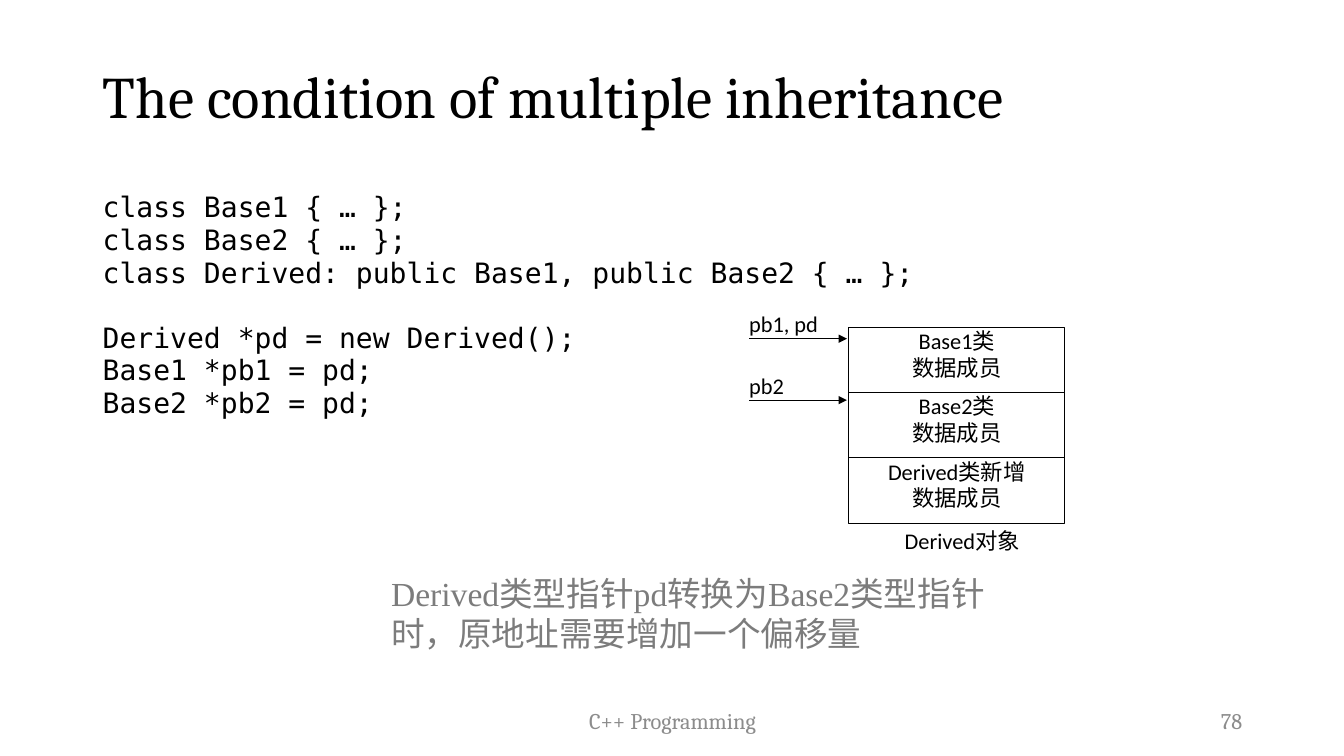
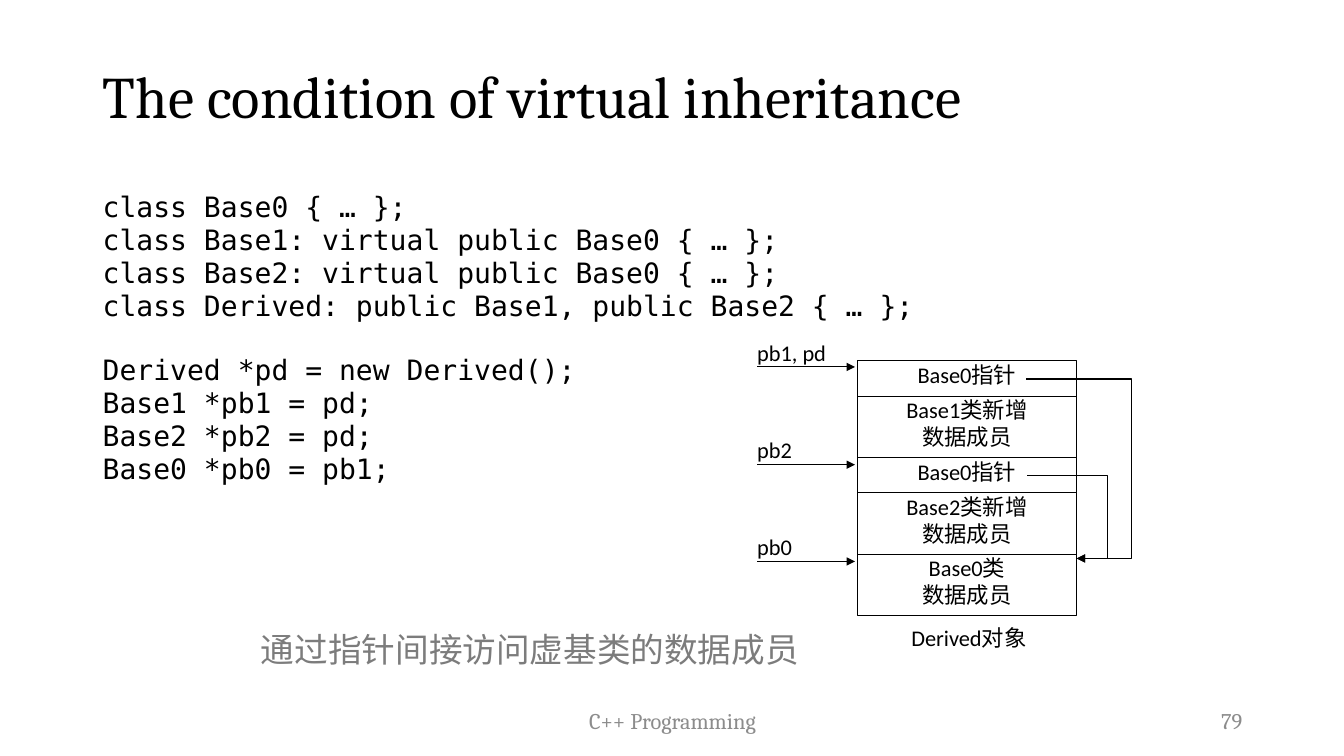
from dataclasses import dataclass, field
from typing import Any, NamedTuple

from pptx import Presentation, util as u
from pptx.dml.color import RGBColor
from pptx.enum import shapes, text
from pptx.oxml import ns, xmlchemy  # noqa: F401
from pptx.oxml.xmlchemy import OxmlElement

PX = 9144  # 100 px to the inch
LEFT, MID, RIGHT = text.PP_ALIGN.LEFT, text.PP_ALIGN.CENTER, text.PP_ALIGN.RIGHT
TOP, CORE = text.MSO_ANCHOR.TOP, text.MSO_ANCHOR.MIDDLE


class Box(NamedTuple):
    x: int
    y: int
    w: int
    h: int


@dataclass(frozen=True)
class Style:
    face: str
    size: int
    ink: RGBColor
    align: Any = LEFT
    anchor: Any = TOP
    lead: float = 1.0
    after: float = 0
    inset: bool = True


BLACK, GREY, PALE = (RGBColor.from_string(c) for c in ("000000", "7C7C7C", "8C8C8C"))


@dataclass(frozen=True)
class Theme:
    line: RGBColor = BLACK
    width: float = 0.75
    gap: float = 22.7
    title: Style = Style("Cambria", 42, BLACK, anchor=CORE, lead=0.9)
    code: Style = Style("DejaVu Sans Mono", 20, BLACK, lead=0.95, after=0.6)
    note: Style = Style("Times New Roman", 24, GREY)
    cell: Style = Style("Calibri", 16, BLACK, MID, inset=False)
    label: Style = Style("Calibri", 16, BLACK, inset=False)
    foot: Style = Style("Cambria", 16, PALE, MID, CORE)
    page: Style = Style("Cambria", 16, PALE, RIGHT, CORE)


THEME = Theme()
TITLE = Box(92, 26, 1150, 145)
CODE = Box(92, 186, 1150, 476)
FOOT = Box(442, 695, 450, 40)
PAGE = Box(942, 695, 300, 40)


class Row(NamedTuple):
    lines: list[str]
    h: int


class Mark(NamedTuple):
    """A named pointer whose arrow runs at height y."""
    name: str
    y: int


class Link(NamedTuple):
    """A bent arrow from (x, y) out to bend and back to the stack at end."""
    x: int
    y: int
    bend: int
    end: int


@dataclass(frozen=True)
class Page:
    num: int
    title: str
    code: list[list[str]]
    note: list[str]
    spot: Box
    stack: Box
    rows: list[Row]
    marks: list[Mark]
    label: Box
    links: list[Link] = field(default_factory=list)


def apply(thing: Any, vals: dict[str, Any]) -> None:
    for key, val in vals.items():
        setattr(thing, key, val)


def emu(box: Box) -> list[int]:
    return [n * PX for n in box]


def write(shape: Any, blocks: list[list[str]], style: Style) -> None:
    """Fill a shape with blocks of lines, parted by the theme's gap."""
    frame = shape.text_frame
    apply(frame, {"word_wrap": True, "auto_size": text.MSO_AUTO_SIZE.NONE,
                  "vertical_anchor": style.anchor})
    if not style.inset:
        apply(frame, dict.fromkeys(
            ("margin_left", "margin_top", "margin_right", "margin_bottom"), 0))
    lines = [(line, bool(b) and not i)
             for b, block in enumerate(blocks) for i, line in enumerate(block)]
    for i, (line, apart) in enumerate(lines):
        para = frame.add_paragraph() if i else frame.paragraphs[0]
        apply(para, {"text": line, "alignment": style.align,
                     "line_spacing": style.lead,
                     "space_before": u.Pt(THEME.gap if apart else 0),
                     "space_after": u.Pt(style.after)})
        apply(para.font, {"name": style.face, "size": u.Pt(style.size)})
        para.font.color.rgb = style.ink


def words(slide: Any, box: Box, blocks: list[list[str]], style: Style) -> None:
    write(slide.shapes.add_textbox(*emu(box)), blocks, style)


def stroke(line: Any) -> None:
    line.color.rgb = THEME.line
    line.width = u.Pt(THEME.width)


def cell(slide: Any, box: Box, lines: list[str]) -> None:
    rect = slide.shapes.add_shape(shapes.MSO_SHAPE.RECTANGLE, *emu(box))
    rect.shadow.inherit = False
    rect.fill.background()
    stroke(rect.line)
    write(rect, [lines], THEME.cell)


def arrow(slide: Any, start: tuple[int, int], end: tuple[int, int],
          bend: int | None = None) -> None:
    """Draw an arrow, straight or turning at x = bend."""
    kind = shapes.MSO_CONNECTOR.STRAIGHT if bend is None else shapes.MSO_CONNECTOR.ELBOW
    wire = slide.shapes.add_connector(kind, *(n * PX for n in (*start, *end)))
    stroke(wire.line)
    props = wire.element.spPr
    tip = OxmlElement("a:tailEnd")
    tip.set("type", "triangle")
    props.find(ns.qn("a:ln")).append(tip)
    props.append(OxmlElement("a:effectLst"))
    if bend is not None:
        turn = OxmlElement("a:gd")
        turn.set("name", "adj1")
        ratio = (bend - start[0]) / (end[0] - start[0])
        turn.set("fmla", f"val {round(ratio * 100000)}")
        props.find(".//" + ns.qn("a:avLst")).append(turn)


def layout(slide: Any, page: Page) -> None:
    """Draw the object's memory stack with its pointers and links."""
    x, y, w, _ = page.stack
    for row in page.rows:
        cell(slide, Box(x, y, w, row.h), row.lines)
        y += row.h
    for mark in page.marks:
        words(slide, Box(x - 99, mark.y - 28, 90, 30), [[mark.name]], THEME.label)
        arrow(slide, (x - 99, mark.y), (x - 2, mark.y))
    for link in page.links:
        arrow(slide, (link.x, link.y), (x + w, link.end), link.bend)
    words(slide, page.label, [["Derived对象"]], THEME.cell)


def draw(deck: Any, page: Page) -> None:
    slide = deck.slides.add_slide(deck.slide_layouts.get_by_name("Title Only"))
    head = slide.shapes.title
    apply(head, dict(zip(("left", "top", "width", "height"), emu(TITLE))))
    write(head, [[page.title]], THEME.title)
    words(slide, FOOT, [["C++ Programming"]], THEME.foot)
    words(slide, PAGE, [[str(page.num)]], THEME.page)
    words(slide, CODE, page.code, THEME.code)
    words(slide, page.spot, [page.note], THEME.note)
    layout(slide, page)


DATA = "数据成员"
HEIR = "class Derived: public Base1, public Base2 { … };"
USE = ["Derived *pd = new Derived();", "Base1 *pb1 = pd;", "Base2 *pb2 = pd;"]

PAGES = [
    Page(
        num=78,
        title="The condition of multiple inheritance",
        code=[["class Base1 { … };", "class Base2 { … };", HEIR], USE],
        note=["Derived类型指针pd转换为Base2类型指针", "时，原地址需要增加一个偏移量"],
        spot=Box(378, 563, 615, 91),
        stack=Box(842, 325, 214, 194),
        rows=[Row(["Base1类", DATA], 64), Row(["Base2类", DATA], 65),
              Row(["Derived类新增", DATA], 65)],
        marks=[Mark("pb1, pd", 336), Mark("pb2", 397)],
        label=Box(888, 523, 133, 34),
    ),
    Page(
        num=79,
        title="The condition of virtual inheritance",
        code=[["class Base0 { … };",
               *(f"class Base{n}: virtual public Base0 {{ … }};" for n in (1, 2)),
               HEIR],
              [*USE, "Base0 *pb0 = pb1;"]],
        note=["通过指针间接访问虚基类的数据成员"],
        spot=Box(249, 619, 559, 51),
        stack=Box(850, 358, 218, 253),
        rows=[Row(["Base0指针"], 35), Row(["Base1类新增", DATA], 61),
              Row(["Base0指针"], 35), Row(["Base2类新增", DATA], 61),
              Row(["Base0类", DATA], 61)],
        marks=[Mark("pb1, pd", 364), Mark("pb2", 461), Mark("pb0", 557)],
        label=Box(893, 619, 136, 32),
        links=[Link(1018, 376, 1122, 554), Link(1019, 472, 1098, 554)],
    ),
]


def main() -> None:
    deck = Presentation()
    apply(deck, {"slide_width": 1333 * PX, "slide_height": 750 * PX})
    for page in PAGES:
        draw(deck, page)
    deck.save("out.pptx")


if __name__ == "__main__":
    main()
